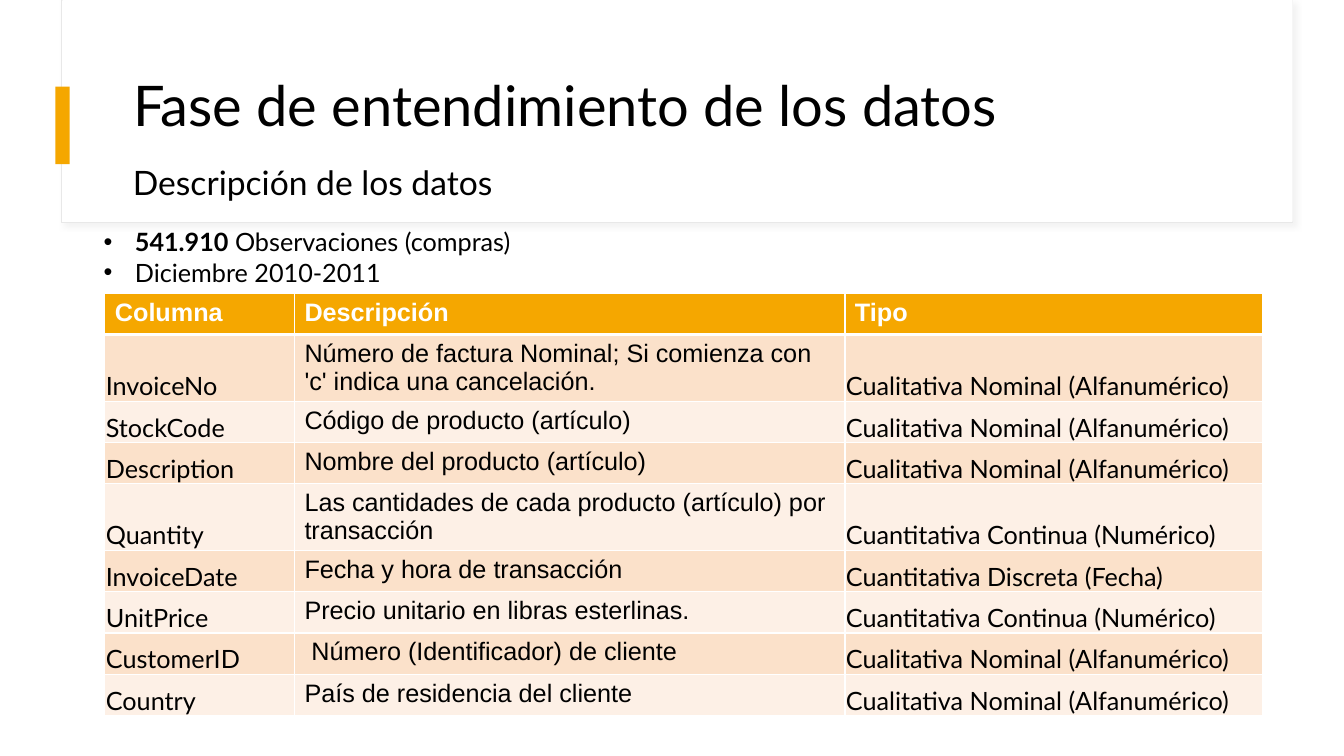
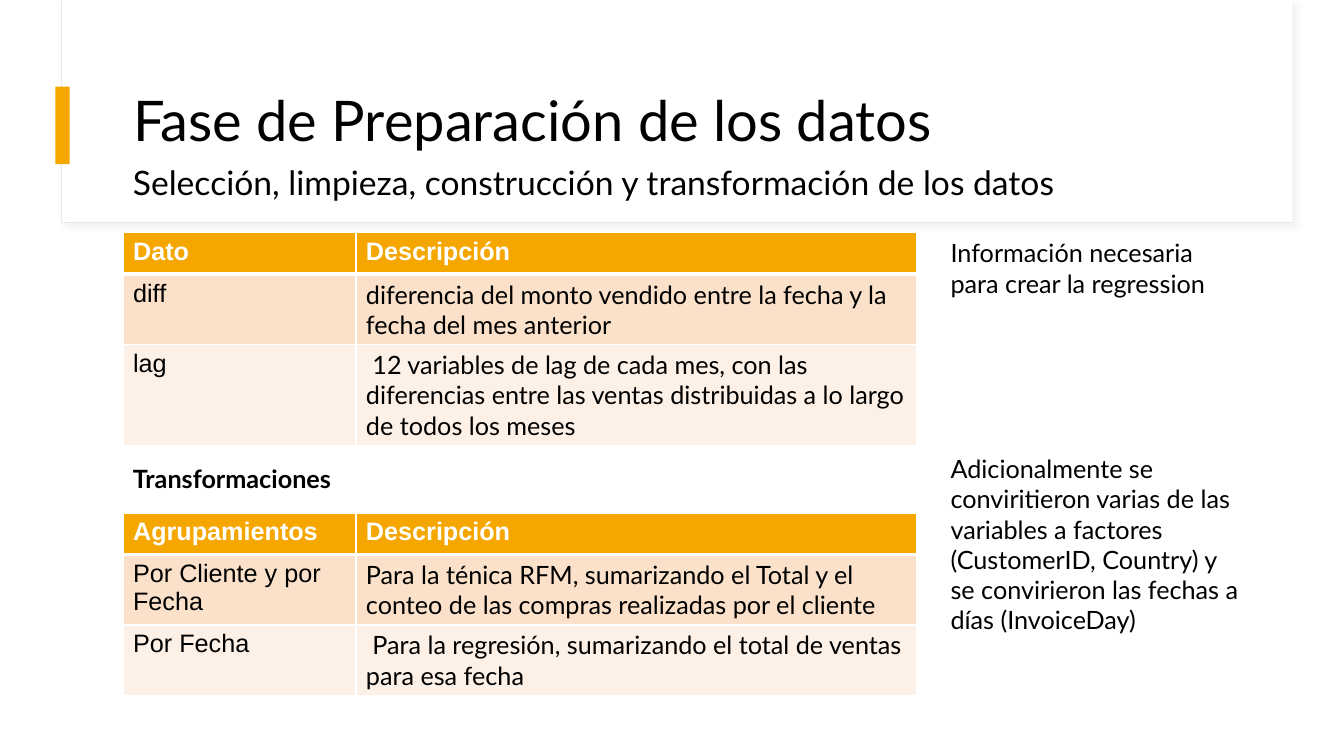
import pptx
import pptx.util
import pptx.dml.color
import pptx.enum.shapes
import pptx.enum.text
import pptx.oxml
import pptx.oxml.ns
from lxml import etree

Inches = pptx.util.Inches
Pt = pptx.util.Pt
Anchor = pptx.enum.text.MSO_ANCHOR
AutoSize = pptx.enum.text.MSO_AUTO_SIZE

ORANGE, WHITE, BLACK = "F5A700", "FFFFFF", "000000"
FRAME_LINE, SHADOW = "E8E8E8", "D8D8D8"
ROW_FILLS = ("FBE1CA", "FDF0E6")
HEADING_FONT, TABLE_FONT = "Lato", "Arial"
ROW_HEIGHT = 0.41
LEFT, CONTENT_WIDTH = 1.22, 11.12
NOTE_LEFT, NOTE_WIDTH = 9.33, 3.1

NOMINAL = "Cualitativa Nominal (Alfanumérico)"
CONTINUOUS = "Cuantitativa Continua (Numérico)"

VARIABLE_ROWS = [
    ("Columna", "Descripción", "Tipo"),
    ("InvoiceNo", "Número de factura Nominal; Si comienza con 'c' indica una cancelación.", NOMINAL),
    ("StockCode", "Código de producto (artículo)", NOMINAL),
    ("Description", "Nombre del producto (artículo)", NOMINAL),
    ("Quantity", "Las cantidades de cada producto (artículo) por transacción", CONTINUOUS),
    ("InvoiceDate", "Fecha y hora de transacción", "Cuantitativa Discreta (Fecha)"),
    ("UnitPrice", "Precio unitario en libras esterlinas.", CONTINUOUS),
    ("CustomerID", " Número (Identificador) de cliente", NOMINAL),
    ("Country", "País de residencia del cliente", NOMINAL),
]
VARIABLE_COLUMNS = [(1.88, HEADING_FONT, True), (5.46, TABLE_FONT, False), (4.14, HEADING_FONT, True)]

SELECTION_ROWS = [
    ("Dato", "Descripción"),
    ("diff", "diferencia del monto vendido entre la fecha y la fecha del mes anterior"),
    ("lag", " 12 variables de lag de cada mes, con las diferencias entre las ventas "
            "distribuidas a lo largo de todos los meses"),
]
GROUPING_ROWS = [
    ("Agrupamientos", "Descripción"),
    ("Por Cliente y por Fecha", "Para la ténica RFM, sumarizando el Total y el conteo de las "
                                "compras realizadas por el cliente"),
    ("Por Fecha", " Para la regresión, sumarizando el total de ventas para esa fecha"),
]
PREPARATION_COLUMNS = [(2.31, TABLE_FONT, False), (5.56, HEADING_FONT, False)]


def color(value):
    """Return the colour for a hex string."""
    return pptx.dml.color.RGBColor.from_string(value)


def add_xml(parent, tag, **attributes):
    """Append a drawing element with attributes and return it."""
    return etree.SubElement(parent, pptx.oxml.ns.qn(tag), attributes)


class Deck:
    """Holds the style, the presentation and the current slide."""

    def __init__(self):
        """Create the presentation with an undecorated title-only layout."""
        self.presentation = pptx.Presentation()
        self.presentation.slide_width = Inches(13.33)
        self.presentation.slide_height = Inches(7.5)
        self.layout = self.presentation.slide_layouts[5]
        for placeholder in list(self.layout.placeholders):
            if placeholder.placeholder_format.idx != 0:
                self.layout.shapes.element.remove(placeholder.element)
        self.slide = None

    def add_slide(self, title, title_top, subtitle):
        """Start a slide with its title and subtitle."""
        first = self.slide is None
        self.slide = self.presentation.slides.add_slide(self.layout)
        if first:
            self.decorate_layout()
        shape = self.slide.shapes.title
        shape.left, shape.top = Inches(LEFT), Inches(title_top)
        shape.width, shape.height = Inches(CONTENT_WIDTH), Inches(0.96)
        self.heading(shape, title, 40)
        box = self.slide.shapes.add_textbox(
            Inches(LEFT), Inches(1.56), Inches(CONTENT_WIDTH), Inches(0.55))
        self.heading(box, subtitle, 24)

    def decorate_layout(self):
        """Put the shared frame and accent bar on the layout."""
        frame = self.rectangle(0.61, 0, 12.21, 2.21, WHITE)
        frame.line.color.rgb = color(FRAME_LINE)
        frame.line.width = Pt(0.75)
        effects = frame.element.spPr.find(pptx.oxml.ns.qn("a:effectLst"))
        shadow = add_xml(effects, "a:outerShdw", blurRad=str(Pt(4)), dist=str(Pt(3)),
                         dir="2700000", algn="tl", rotWithShape="0")
        shade = add_xml(shadow, "a:srgbClr", val=SHADOW)
        add_xml(shade, "a:alpha", val="30000")
        panel = self.rectangle(0.62, 0, 12.2, 2.2, WHITE)
        accent = self.rectangle(0.55, 0.86, 0.14, 0.77, ORANGE)
        for position, shape in enumerate((frame, panel, accent), start=2):
            self.layout.shapes.element.insert(position, shape.element)

    def rectangle(self, left, top, width, height, fill):
        """Add a plain rectangle without outline or shadow."""
        shape = self.slide.shapes.add_shape(
            pptx.enum.shapes.MSO_SHAPE.RECTANGLE,
            Inches(left), Inches(top), Inches(width), Inches(height))
        shape.shadow.inherit = False
        shape.fill.solid()
        shape.fill.fore_color.rgb = color(fill)
        shape.line.fill.background()
        return shape

    def add_run(self, paragraph, text, size=18, font=HEADING_FONT, fill=BLACK, bold=False):
        """Add one formatted run to a paragraph."""
        run = paragraph.add_run()
        run.text = text
        run.font.size = Pt(size)
        run.font.name = font
        run.font.bold = bold
        run.font.color.rgb = color(fill)

    def heading(self, shape, text, size):
        """Format a shape as a heading line."""
        frame = shape.text_frame
        frame.word_wrap = True
        frame.auto_size = AutoSize.NONE
        frame.vertical_anchor = Anchor.MIDDLE
        paragraph = frame.paragraphs[0]
        paragraph.alignment = pptx.enum.text.PP_ALIGN.LEFT
        paragraph.line_spacing = 0.9
        self.add_run(paragraph, text, size)

    def text(self, left, top, width, height, paragraphs, bullets=False):
        """Add a text box from paragraphs made of (text, bold) runs."""
        box = self.slide.shapes.add_textbox(
            Inches(left), Inches(top), Inches(width), Inches(height))
        frame = box.text_frame
        frame.word_wrap = True
        frame.auto_size = AutoSize.SHAPE_TO_FIT_TEXT
        for index, runs in enumerate(paragraphs):
            paragraph = frame.add_paragraph() if index else frame.paragraphs[0]
            if bullets:
                self.bullet(paragraph)
            for text, bold in runs:
                self.add_run(paragraph, text, bold=bold)

    def bullet(self, paragraph):
        """Give a paragraph a round bullet and hanging indent."""
        properties = paragraph._p.get_or_add_pPr()
        properties.set("marL", str(Inches(0.31)))
        properties.set("indent", str(-Inches(0.31)))
        add_xml(properties, "a:buFont", typeface="Arial")
        add_xml(properties, "a:buChar", char="•")

    def table(self, left, top, columns, rows):
        """Add a banded table; columns are (width, font, tight)."""
        width = sum(column[0] for column in columns)
        table = self.slide.shapes.add_table(
            len(rows), len(columns), Inches(left), Inches(top),
            Inches(width), Inches(ROW_HEIGHT * len(rows))).table
        for index, column in enumerate(columns):
            table.columns[index].width = Inches(column[0])
        for row_index, row in enumerate(rows):
            table.rows[row_index].height = Inches(ROW_HEIGHT)
            for column_index, text in enumerate(row):
                self.cell(table.cell(row_index, column_index), text, row_index,
                          *columns[column_index][1:])

    def cell(self, cell, text, row_index, font, tight):
        """Fill and format one table cell."""
        header = row_index == 0
        if tight and not header:
            cell.vertical_anchor = Anchor.BOTTOM
            cell.margin_left = cell.margin_right = cell.margin_top = Inches(0.01)
            cell.margin_bottom = 0
        self.borders(cell, top=3 if row_index == 1 else 1, bottom=3 if header else 1)
        cell.fill.solid()
        cell.fill.fore_color.rgb = color(ORANGE if header else ROW_FILLS[(row_index - 1) % 2])
        self.add_run(cell.text_frame.paragraphs[0], text,
                     font=TABLE_FONT if header else font,
                     fill=WHITE if header else BLACK, bold=header)

    def borders(self, cell, top, bottom):
        """Draw white borders round a cell."""
        properties = cell._tc.get_or_add_tcPr()
        for side, width in (("L", 1), ("R", 1), ("T", top), ("B", bottom)):
            line = add_xml(properties, "a:ln" + side, w=str(Pt(width)))
            add_xml(add_xml(line, "a:solidFill"), "a:srgbClr", val=WHITE)


def main():
    """Build and save both slides."""
    deck = Deck()

    deck.add_slide("Fase de entendimiento de los datos", 0.6, "Descripción de los datos")
    deck.table(1.04, 2.91, VARIABLE_COLUMNS, VARIABLE_ROWS)
    deck.text(0.93, 2.2, 4.57, 0.71, [
        [("541.910", True), (" Observaciones (compras)", False)],
        [("Diciembre 2010-2011", False)],
    ], bullets=True)

    deck.add_slide("Fase de Preparación de los datos", 0.74,
                   "Selección, limpieza, construcción y transformación de los datos")
    deck.table(LEFT, 2.31, PREPARATION_COLUMNS, SELECTION_ROWS)
    deck.text(NOTE_LEFT, 2.31, NOTE_WIDTH, 0.71,
              [[("Información necesaria para crear la regression", False)]])
    deck.text(LEFT, 4.55, 2.35, 0.4, [[("Transformaciones", True)]])
    deck.table(LEFT, 5.09, PREPARATION_COLUMNS, GROUPING_ROWS)
    deck.text(NOTE_LEFT, 4.45, NOTE_WIDTH, 1.92, [[(
        "Adicionalmente se conviritieron varias de las variables a factores "
        "(CustomerID, Country) y se convirieron las fechas a días (InvoiceDay)", False)]])

    deck.presentation.save("out.pptx")


if __name__ == "__main__":
    main()
